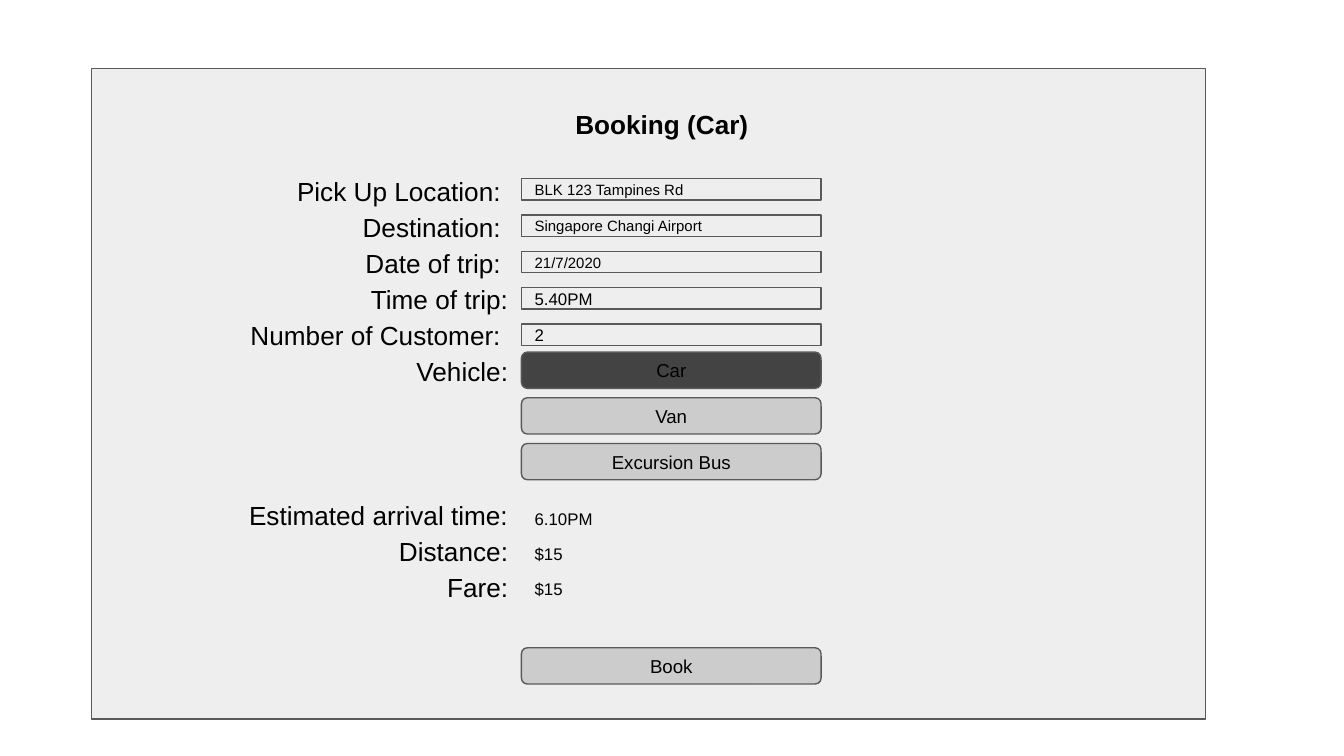
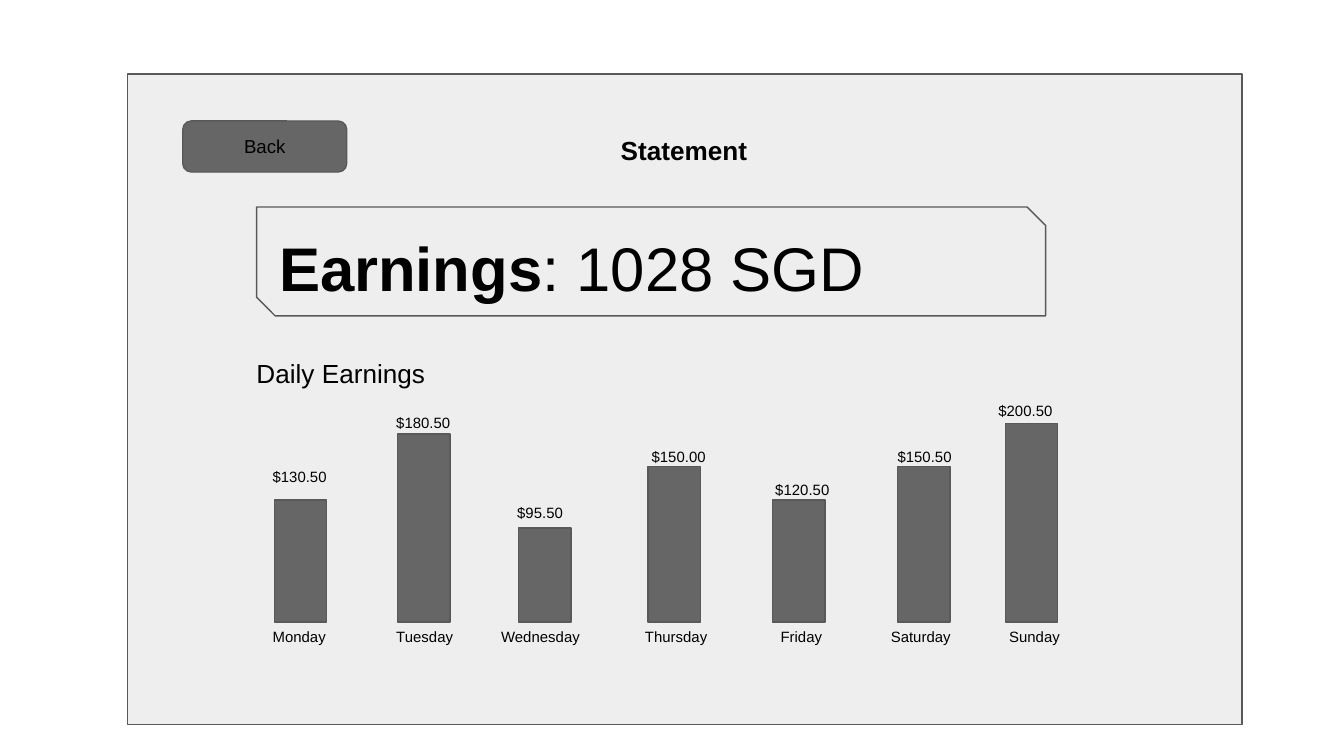
from pptx import Presentation
from pptx import util as u
from pptx.dml.color import RGBColor
from pptx.enum import shapes, text

COLOURS = {
    "panel": "EEEEEE",
    "outline": "595959",
    "text": "000000",
    "button": "CCCCCC",
    "selected": "434343",
    "solid": "666666",
}
FONT = "Arial"
PANEL_SIZE = (8.29, 4.84)
INSET = 0.1

LABELS = [
    "Pick Up Location: ", "Destination: ", "Date of trip: ", "Time of trip:",
    "Number of Customer: ", "Vehicle:",
    "Estimated arrival time:", "Distance:", "Fare:",
]
FIRST_RESULT = "Estimated arrival time:"
FIELDS = [("BLK 123 Tampines Rd", 8), ("Singapore Changi Airport", 8),
          ("21/7/2020", 8), ("5.40PM", 9), ("2", 9)]
VEHICLES = [("Car", "selected"), ("Van", "button"), ("Excursion Bus", "button")]
RESULTS = ["6.10PM", "$15", "$15"]

# day, day left, day width, amount, amount left, amount top, bar left, bar height
DAYS = [
    ("Monday", 0.98, 0.67, "$130.50", 0.98, 2.83, 1.09, 0.91),
    ("Tuesday", 1.90, 0.67, "$180.50", 1.90, 2.43, 2.01, 1.40),
    ("Wednesday", 2.68, 0.84, "$95.50", 2.80, 3.10, 2.91, 0.70),
    ("Thursday", 3.75, 0.68, "$150.00", 3.80, 2.68, 3.87, 1.16),
    ("Friday", 4.76, 0.54, "$120.50", 4.72, 2.93, 4.80, 0.91),
    ("Saturday", 5.58, 0.67, "$150.50", 5.63, 2.68, 5.73, 1.16),
    ("Sunday", 6.46, 0.67, "$200.50", 6.38, 2.34, 6.53, 1.48),
]


def rgb(name):
    return RGBColor.from_string(COLOURS[name])


def inside(origin, left, top, width, height):
    """Turn a box measured from the panel corner into slide lengths."""
    return [u.Inches(value) for value in
            (origin[0] + left, origin[1] + top, width, height)]


def set_text(shape, lines, size, align="LEFT", bold=False, anchor="TOP"):
    frame = shape.text_frame
    frame.word_wrap = True
    frame.auto_size = text.MSO_AUTO_SIZE.NONE
    frame.vertical_anchor = getattr(text.MSO_ANCHOR, anchor)
    frame.margin_left = frame.margin_right = u.Inches(INSET)
    frame.margin_top = frame.margin_bottom = u.Inches(INSET)
    frame.text = "\n".join(lines)
    for paragraph in frame.paragraphs:
        paragraph.alignment = getattr(text.PP_ALIGN, align)
        paragraph.font.name = FONT
        paragraph.font.size = u.Pt(size)
        paragraph.font.bold = bold
        paragraph.font.color.rgb = rgb("text")
    return frame


def add_box(slide, box, fill="panel", kind="RECTANGLE", outlined=True):
    shape = slide.shapes.add_shape(getattr(shapes.MSO_SHAPE, kind), *box)
    shape.shadow.inherit = False
    shape.fill.solid()
    shape.fill.fore_color.rgb = rgb(fill)
    if outlined:
        shape.line.color.rgb = rgb("outline")
        shape.line.width = u.Pt(0.75)
    else:
        shape.line.fill.background()
    return shape


def add_label(slide, box, lines, size, align="LEFT"):
    return set_text(slide.shapes.add_textbox(*box), lines, size, align)


def add_button(slide, box, caption, fill="button"):
    button = add_box(slide, box, fill, "ROUNDED_RECTANGLE")
    set_text(button, [caption], 10, "CENTER", anchor="MIDDLE")


def add_field(slide, box, value, size, outlined=True):
    field = add_box(slide, box, outlined=outlined)
    set_text(field, [value], size, anchor="MIDDLE")


def add_screen(presentation, origin, title, title_box):
    """Add a slide with the grey panel and the title in front of it."""
    slide = presentation.slides.add_slide(presentation.slide_layouts[5])
    panel = add_box(slide, inside(origin, 0, 0, *PANEL_SIZE))
    heading = slide.shapes.title
    heading.left, heading.top, heading.width, heading.height = inside(origin, *title_box)
    set_text(heading, [title], 14, "CENTER", bold=True)
    panel._element.addnext(heading._element)
    return slide


def add_booking_labels(slide, origin):
    frame = add_label(slide, inside(origin, 0.89, 0.66, 2.31, 3.6), LABELS, 14, "RIGHT")
    for paragraph in frame.paragraphs:
        paragraph.line_spacing = 1.15
        if paragraph.text == FIRST_RESULT:
            paragraph.space_before = u.Pt(58)


def add_booking_controls(slide, origin):
    left, width, field_height, button_height = 3.2, 2.23, 0.16, 0.27

    def row(top, height):
        return inside(origin, left, top, width, height)

    for index, (value, size) in enumerate(FIELDS):
        add_field(slide, row(0.82 + 0.27 * index, field_height), value, size)
    for index, (vehicle, fill) in enumerate(VEHICLES):
        add_button(slide, row(2.11 + 0.34 * index, button_height), vehicle, fill)
    for index, value in enumerate(RESULTS):
        add_field(slide, row(3.27 + 0.26 * index, field_height), value, 9, outlined=False)
    add_button(slide, row(4.31, button_height), "Book")


def add_booking_slide(presentation, origin):
    slide = add_screen(presentation, origin, "Booking (Car)", (0.1, 0.2, 8.29, 0.46))
    add_booking_labels(slide, origin)
    add_booking_controls(slide, origin)


def add_earnings_total(slide, origin):
    banner = add_box(slide, inside(origin, 0.96, 0.99, 5.87, 0.81),
                     kind="SNIP_2_DIAG_RECTANGLE")
    banner.adjustments[0], banner.adjustments[1] = 0, 0.17
    paragraph = set_text(banner, ["Earnings"], 33).paragraphs[0]
    paragraph.runs[0].font.bold = True
    paragraph.add_run().text = ": 1028 SGD"


def add_daily_bars(slide, origin):
    baseline, bar_width, label_height = 4.08, 0.39, 0.26
    for (day, day_left, day_width, amount, amount_left, amount_top,
         bar_left, bar_height) in DAYS:
        add_box(slide, inside(origin, bar_left, baseline - bar_height,
                              bar_width, bar_height), "solid")
        add_label(slide, inside(origin, day_left, 4.02, day_width, label_height), [day], 8)
        add_label(slide, inside(origin, amount_left, amount_top, 0.67, label_height),
                  [amount], 8)


def add_statement_slide(presentation, origin):
    slide = add_screen(presentation, origin, "Statement", (0.41, 0.35, 7.46, 0.47))
    add_earnings_total(slide, origin)
    add_label(slide, inside(origin, 0.86, 2.01, 1.87, 0.47), ["Daily Earnings"], 14)
    add_button(slide, inside(origin, 0.41, 0.35, 1.22, 0.38), "Back", "solid")
    add_daily_bars(slide, origin)


def main():
    presentation = Presentation()
    presentation.slide_width = u.Inches(10)
    presentation.slide_height = u.Inches(10 * 9 / 16)
    add_booking_slide(presentation, (0.68, 0.51))
    add_statement_slide(presentation, (0.95, 0.55))
    presentation.save("out.pptx")


if __name__ == "__main__":
    main()
